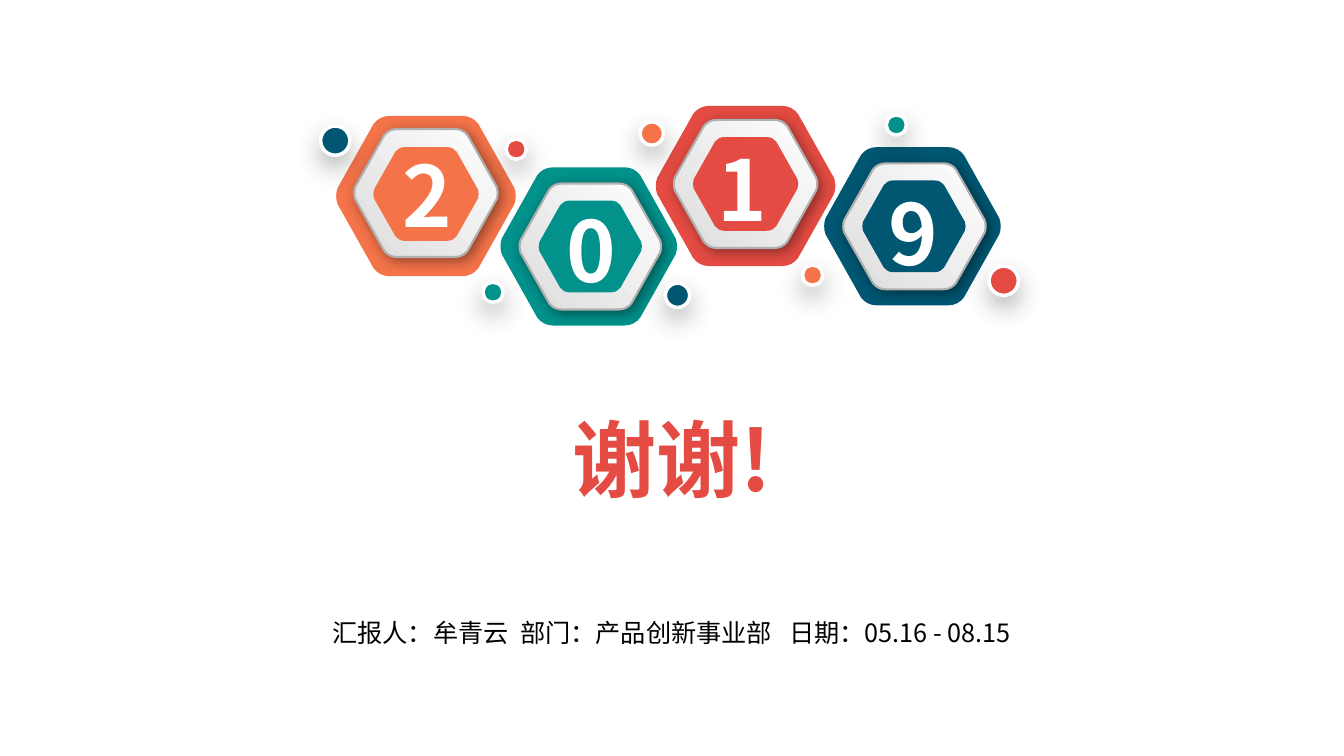
import pptx
import pptx.util
import pptx.dml.color
import pptx.enum.shapes
import pptx.enum.text
import pptx.oxml

RGBColor = pptx.dml.color.RGBColor
ORANGE = RGBColor(0xF4, 0x73, 0x49)
TEAL = RGBColor(0x02, 0x91, 0x8B)
RED = RGBColor(0xE4, 0x4B, 0x42)
NAVY = RGBColor(0x01, 0x56, 0x72)
WHITE = RGBColor(0xFF, 0xFF, 0xFF)
SILVER = RGBColor(0xDC, 0xDC, 0xDC)
EDGE = RGBColor(0xB0, 0xB0, 0xB0)
BLACK = RGBColor(0x00, 0x00, 0x00)

PX = 9144
TOP_CORNER = ((0.70, 0), (0.74, 0), (0.77, 0.02), (0.79, 0.05))
SIDE_CORNER = ((0.99, 0.45), (1.0, 0.48), (1.0, 0.52), (0.99, 0.55))


def hexagon_outline():
    right = [*TOP_CORNER, *SIDE_CORNER, *((x, 1 - y) for x, y in reversed(TOP_CORNER))]
    return right + [(1 - x, y) for x, y in reversed(right)]


class SlideBuilder:
    font = "Noto Sans CJK SC"

    def __init__(self, slide):
        self.shapes = slide.shapes

    def shadow(self, shape, color, opacity, blur, distance, angle):
        effects = shape._element.spPr.find(pptx.oxml.ns.qn("a:effectLst"))
        effects.append(pptx.oxml.parse_xml(
            f'<a:outerShdw {pptx.oxml.ns.nsdecls("a")} blurRad="{blur * 12700}" '
            f'dist="{distance * 12700}" dir="{angle * 60000}" algn="ctr" rotWithShape="0">'
            f'<a:srgbClr val="{color}"><a:alpha val="{opacity * 1000}"/></a:srgbClr></a:outerShdw>'))

    def round_corners(self, shape):
        segments = list(shape._element.iter(pptx.oxml.ns.qn("a:lnTo")))
        for first in range(0, len(segments), 4):
            corner = segments[first:first + 3]
            bend = pptx.oxml.parse_xml(f'<a:cubicBezTo {pptx.oxml.ns.nsdecls("a")}/>')
            corner[0].addprevious(bend)
            for segment in corner:
                bend.append(segment[0])
                segment.getparent().remove(segment)

    def hexagon(self, left, top, width, height, color=None):
        points = [((left + x * width) * PX, (top + y * height) * PX) for x, y in hexagon_outline()]
        builder = self.shapes.build_freeform(*points[0])
        builder.add_line_segments(points[1:], close=True)
        shape = builder.convert_to_shape()
        self.round_corners(shape)
        shape.shadow.inherit = False
        if color:
            shape.fill.solid()
            shape.fill.fore_color.rgb = color
            shape.line.fill.background()
        else:
            shape.fill.gradient()
            shape.fill.gradient_angle = 45
            for stop, shade in zip(shape.fill.gradient_stops, (SILVER, WHITE)):
                stop.color.rgb = shade
            shape.line.color.rgb = EDGE
            shape.line.width = pptx.util.Pt(1.5)
            self.shadow(shape, BLACK, 40, 9, 3, 45)

    def dot(self, left, top, size, color):
        shape = self.shapes.add_shape(pptx.enum.shapes.MSO_SHAPE.OVAL,
                                      left * PX, top * PX, size * PX, size * PX)
        shape.shadow.inherit = False
        shape.fill.solid()
        shape.fill.fore_color.rgb = color
        shape.line.color.rgb = WHITE
        shape.line.width = pptx.util.Pt(2.5)
        self.shadow(shape, "262626", 33, 18, 8, 90)

    def text(self, box, wording, size, color, bold=False, centered=True):
        frame = self.shapes.add_textbox(*(length * PX for length in box)).text_frame
        frame.word_wrap = centered
        paragraph = frame.paragraphs[0]
        if centered:
            frame.vertical_anchor = pptx.enum.text.MSO_ANCHOR.MIDDLE
            paragraph.alignment = pptx.enum.text.PP_ALIGN.CENTER
        else:
            frame.auto_size = pptx.enum.text.MSO_AUTO_SIZE.SHAPE_TO_FIT_TEXT
        run = paragraph.add_run()
        run.text = wording
        run.font.size = pptx.util.Pt(size)
        run.font.bold = bold
        run.font.color.rgb = color
        run.font.name = self.font
        east_asian = pptx.oxml.parse_xml(
            f'<a:ea {pptx.oxml.ns.nsdecls("a")} typeface="{self.font}"/>')
        run.font._element.find(pptx.oxml.ns.qn("a:latin")).addnext(east_asian)


def main():
    presentation = pptx.Presentation()
    presentation.slide_width = 1333 * PX
    presentation.slide_height = 750 * PX
    builder = SlideBuilder(presentation.slides.add_slide(presentation.slide_layouts[6]))

    badges = (
        (ORANGE, (333, 115, 179, 159), (351, 128, 143, 127), (370, 146, 105, 93)),
        (TEAL, (496, 166, 176, 157), (515, 182, 141, 125), (534, 199, 103, 91)),
        (RED, (650, 105, 179, 159), (668, 119, 143, 127), (687, 136, 105, 93)),
        (NAVY, (817, 146, 176, 157), (836, 162, 142, 125), (855, 179, 103, 91)),
    )
    for color, frame, plate, core in badges:
        builder.hexagon(*frame, color)
        builder.hexagon(*plate)
        builder.hexagon(*core, color)

    dots = (
        (981, 264, 29, RED), (796, 263, 20, ORANGE), (635, 121, 23, ORANGE),
        (879, 114, 20, TEAL), (660, 281, 24, NAVY), (502, 138, 20, RED),
        (479, 280, 20, TEAL), (318, 125, 29, NAVY),
    )
    for dot in dots:
        builder.dot(*dot)

    year = (("2", 389, 137, 70), ("0", 552, 192, 59), ("1", 702, 131, 59), ("9", 871, 175, 59))
    for digit, left, top, width in year:
        builder.text((left, top, width, 111), digit, 60, WHITE, bold=True, centered=False)

    builder.text((169, 419, 996, 70), "谢谢!", 60, RED, bold=True)
    builder.text((306, 614, 720, 27), "汇报人：牟青云  部门：产品创新事业部   日期：05.16 - 08.15", 18, BLACK)
    presentation.save("out.pptx")


if __name__ == "__main__":
    main()
